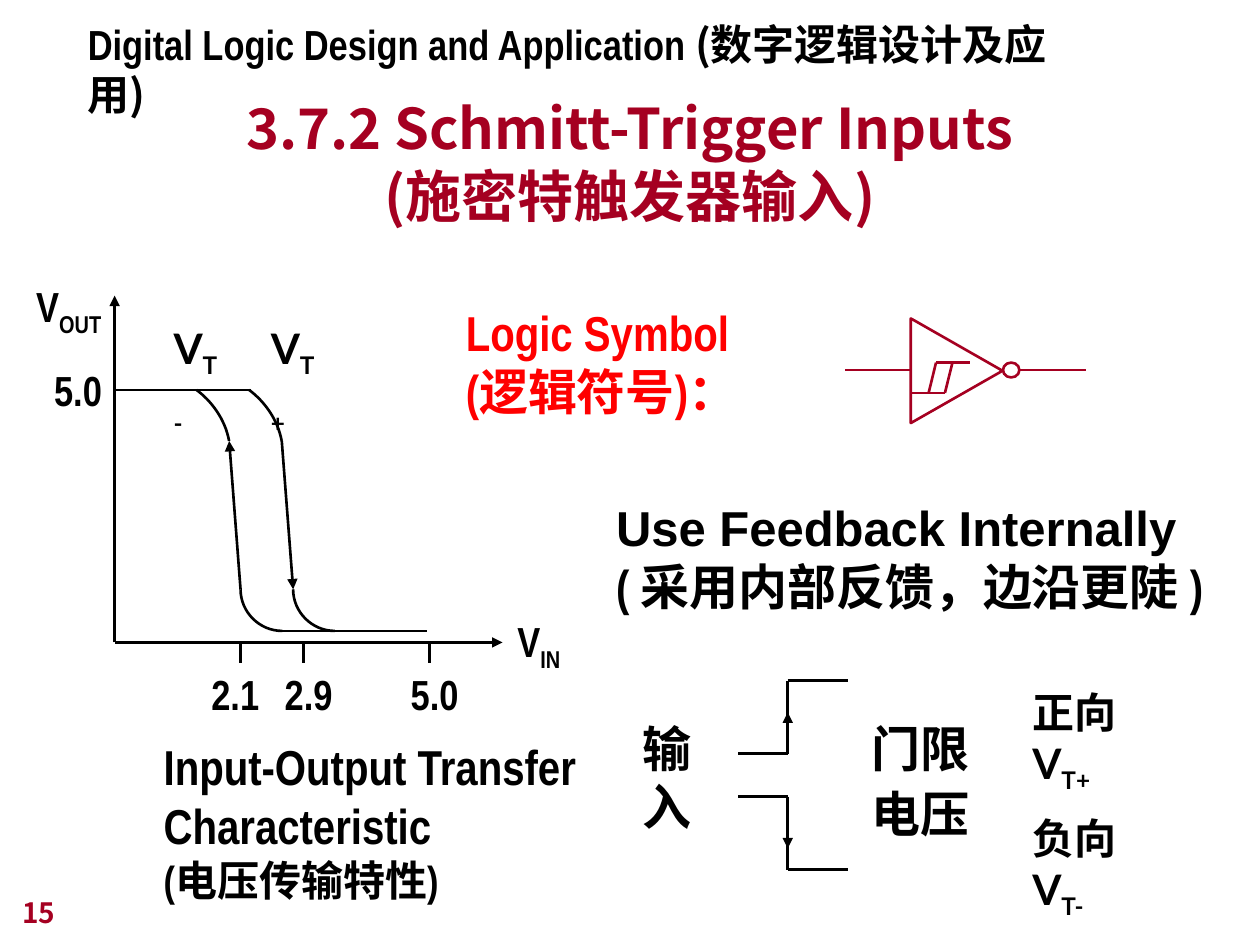
from lxml.etree import SubElement
from pptx import Presentation
from pptx.dml.color import RGBColor
from pptx.enum.shapes import MSO_CONNECTOR, MSO_SHAPE
from pptx.enum.text import MSO_ANCHOR, MSO_AUTO_SIZE as AUTO, PP_ALIGN
from pptx.oxml.ns import qn
from pptx.util import Cm, Pt

BLACK, CRIMSON, RED = "000000", "A50021", "FF0000"
NARROW, LATO, NOTO = "Arial Narrow", "Lato", "Noto Sans CJK JP"


def rgb(color):
    return RGBColor.from_string(color)


def fill_text(tf, paragraphs, size=24, font=NARROW, color=BLACK, align=None, spacing=None):
    """Each paragraph is a list of runs made by run()."""
    for i, runs in enumerate(paragraphs):
        p = tf.paragraphs[0] if i == 0 else tf.add_paragraph()
        p.alignment, p.line_spacing = align, spacing
        for text, run_size, name, subscript in runs:
            for k, part in enumerate(text.split("\n")):
                if k:
                    p.add_line_break()
                r = p.add_run()
                r.text = part
                r.font.size, r.font.bold = Pt(run_size or size), True
                r.font.name = name or font
                r.font.color.rgb = rgb(color)
                if subscript:
                    r._r.get_or_add_rPr().set("baseline", "-25000")


def run(text, size=None, font=None, sub=False):
    return text, size, font, sub


def add_text(slide, x, y, w, h, *paragraphs, right=None, wrap=False, anchor=MSO_ANCHOR.TOP,
             auto=AUTO.SHAPE_TO_FIT_TEXT, **fmt):
    """Text box; a right margin (cm) also turns wrapping on."""
    sp = slide.shapes.add_textbox(Cm(x), Cm(y), Cm(w), Cm(h))
    tf = sp.text_frame
    tf.word_wrap = wrap or right is not None
    tf.auto_size, tf.vertical_anchor = auto, anchor
    if right is not None:
        tf.margin_right = Cm(right)
    fill_text(tf, [[run(p)] if isinstance(p, str) else p for p in paragraphs], **fmt)


def voltage(name, sub):
    return [run(name), run(sub, sub=True)]


def add_line(slide, x1, y1, x2, y2, color=BLACK, arrow=False):
    s = slide.shapes.add_connector(MSO_CONNECTOR.STRAIGHT, Cm(x1), Cm(y1), Cm(x2), Cm(y2))
    s.line.color.rgb, s.line.width = rgb(color), Pt(1.5)
    if arrow:
        SubElement(s.line._get_or_add_ln(), qn("a:tailEnd"), type="triangle")
    SubElement(s._element.spPr, qn("a:effectLst"))


def outline(sp, color):
    sp.shadow.inherit = False
    sp.fill.background()
    sp.line.color.rgb, sp.line.width = rgb(color), Pt(1.5)


def add_curve(slide, a, b, c, d, steps=16):
    """Open cubic Bezier curve through sampled points."""
    points = []
    for i in range(steps + 1):
        t = i / steps
        points.append([Cm((1 - t) ** 3 * p + 3 * (1 - t) ** 2 * t * q + 3 * (1 - t) * t * t * r + t ** 3 * s)
                       for p, q, r, s in zip(a, b, c, d)])
    fb = slide.shapes.build_freeform(*points[0])
    fb.add_line_segments(points[1:], close=False)
    outline(fb.convert_to_shape(), BLACK)


def transfer_graph(slide, x, y):
    ox, oy = x + 1.83, y + 7.41

    def at(dx, up):
        return ox + dx, oy - up

    def line(start, end, arrow=False):
        add_line(slide, *at(*start), *at(*end), arrow=arrow)

    def curve(shift, *points):
        add_curve(slide, *(at(dx + shift, up) for dx, up in points))

    def label(dx, up, w, h, *paragraphs, **fmt):
        add_text(slide, *at(dx, up), w, h, *paragraphs, **fmt)

    line((0, 0), (7.82, 0), arrow=True)
    line((0, 0), (0, 6.99), arrow=True)
    line((0, 5.09), (2.74, 5.09))
    line((3.38, 0.23), (6.3, 0.23))
    for shift, rising in ((0, True), (1.06, False)):
        top, bottom = (2.31 + shift, 4.06), (2.54 + shift, 1.07)
        curve(shift, (1.65, 5.09), (1.95, 4.87), (2.23, 4.5), (2.31, 4.06))
        curve(shift, (2.54, 1.07), (2.54, 0.61), (2.92, 0.23), (3.38, 0.23))
        line(*((bottom, top) if rising else (top, bottom)), arrow=True)
    for tick, left, text in ((2.54, 1.7, "2.1"), (3.81, 3.18, "2.9"), (6.35, 5.72, "5.0")):
        line((tick, 0), (tick, -0.41))
        label(left, -0.41, 1.47, 1.27, text)

    label(-1.47, 5.72, 1.47, 1.27, "5.0")
    label(-1.83, 7.41, 1.9, 1.42, voltage("V", "OUT"))
    label(7.87, 0.66, 1.4, 1.42, voltage("V", "IN"))
    label(2.9, 6.58, 1.63, 1.42, voltage("V", "T+"), right=0.41, font=LATO)
    label(0.94, 6.58, 1.5, 1.42, voltage("V", "T-"), right=0.28, font=LATO)
    label(0.74, -1.78, 8.86, 3.66, "Input-Output Transfer", "Characteristic",
          [run("(电压传输特性)", 24)], size=28)


def threshold_diagram(slide, x, y):
    for y_in, y_out, tail, tip in ((1.47, 0, 1.07, 0.64), (2.34, 3.81, 2.97, 3.38)):
        corners = [(2.18, y_in), (3.18, y_in), (3.18, y_out), (4.39, y_out)]
        for (x1, y1), (x2, y2) in zip(corners, corners[1:]):
            add_line(slide, x + x1, y + y1, x + x2, y + y2)
        add_line(slide, x + 3.18, y + tail, x + 3.18, y + tip, arrow=True)
    add_text(slide, x, y + 0.63, 1.5, 2.64, "输", "入", size=28)
    add_text(slide, x + 4.62, y + 0.53, 2.87, 2.87, "门限", "电压", wrap=True, size=28, spacing=1.1)
    for top, name, sub in ((0, "正向 V", "T+"), (2.54, "负向 V", "T-")):
        add_text(slide, x + 7.86, y + top, 3.7, 1.42, voltage(name, sub), right=1.27, font=LATO)


def schmitt_inverter(slide, x, y):
    shapes = slide.shapes
    gate = shapes.add_shape(MSO_SHAPE.ISOSCELES_TRIANGLE, Cm(x + 1.19), Cm(y), Cm(2.11), Cm(1.85))
    gate.rotation = 90
    bubble = shapes.add_shape(MSO_SHAPE.OVAL, Cm(x + 3.18), Cm(y + 0.76), Cm(0.33), Cm(0.3))
    for sp in (gate, bubble):
        outline(sp, CRIMSON)
    leads = [(0, 0.91, 1.35, 0.91), (3.51, 0.91, 4.85, 0.91)]
    hysteresis = [(1.83, 0.76, 2.51, 0.76), (1.83, 0.76, 1.68, 1.37),
                  (2.16, 0.76, 2.01, 1.37), (1.35, 1.37, 2.01, 1.37)]
    for x1, y1, x2, y2 in leads + hysteresis:
        add_line(slide, x + x1, y + y1, x + x2, y + y2, CRIMSON)


def place_title(slide, x, y, w, h, text):
    title = slide.shapes.title
    title.left, title.top, title.width, title.height = Cm(x), Cm(y), Cm(w), Cm(h)
    tf = title.text_frame
    tf.auto_size, tf.vertical_anchor = AUTO.NONE, MSO_ANCHOR.BOTTOM
    fill_text(tf, [[run(text)]], size=32, font=NOTO, color=CRIMSON, align=PP_ALIGN.CENTER)


def main():
    prs = Presentation()
    prs.slide_width, prs.slide_height = Cm(25.4), Cm(19.05)
    slide = prs.slides.add_slide(prs.slide_layouts[5])
    place_title(slide, 1.9, 1.73, 21.59, 3, "3.7.2 Schmitt-Trigger Inputs\n(施密特触发器输入)")
    transfer_graph(slide, 0.48, 5.54)
    threshold_diagram(slide, 12.7, 13.72)
    add_text(slide, 12.17, 9.91, 13, 2.64, [run("Use Feedback Internally", font="Arial")],
             "( 采用内部反馈，边沿更陡 )", size=28)
    schmitt_inverter(slide, 17.04, 6.55)
    add_text(slide, 9.14, 5.97, 6.68, 2.64, "Logic Symbol", "(逻辑符号)：", size=28, color=RED)
    add_text(slide, 1.52, 0.25, 21.36, 1.27,
             [run("Digital Logic Design and Application "), run("(数字逻辑设计及应用)", font=NOTO)],
             right=1)
    add_text(slide, 0.2, 17.58, 5.28, 1.27, "15", wrap=True, anchor=MSO_ANCHOR.BOTTOM,
             auto=AUTO.NONE, size=16, font=NOTO, color=CRIMSON)
    prs.save("out.pptx")


if __name__ == "__main__":
    main()
